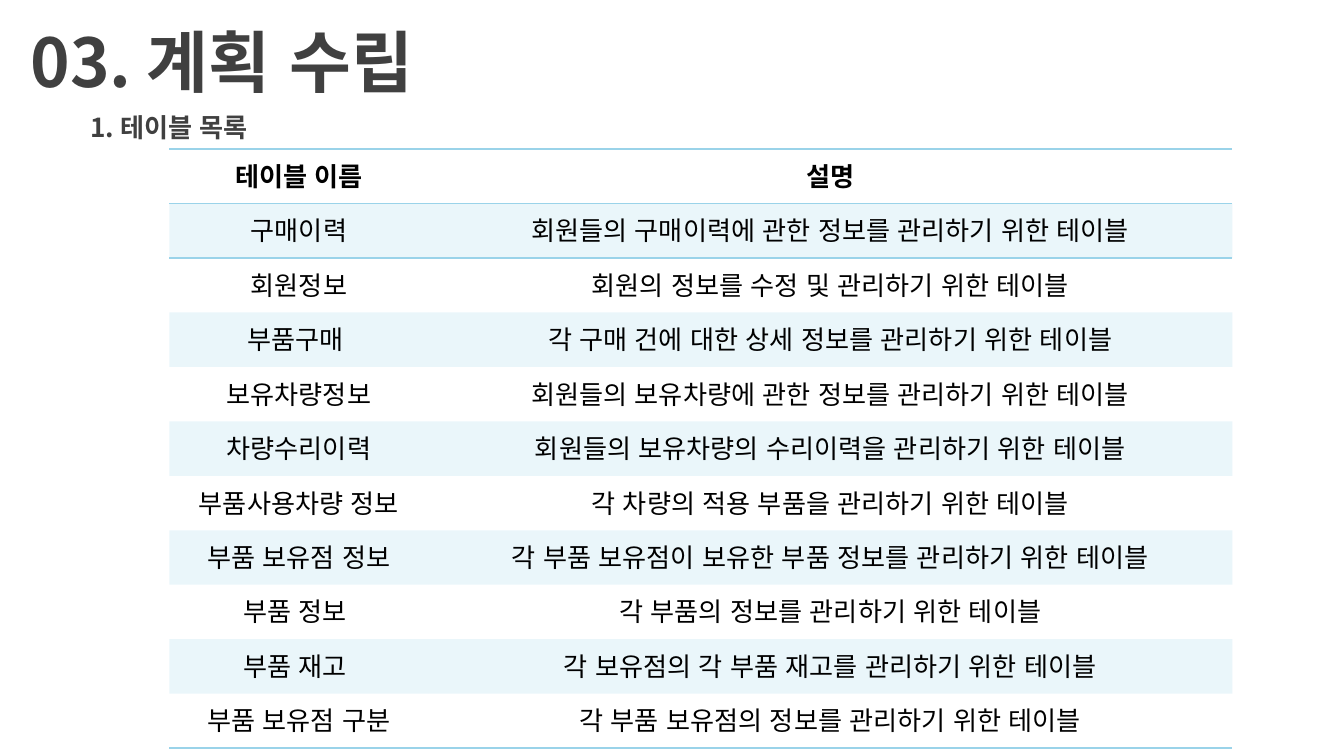
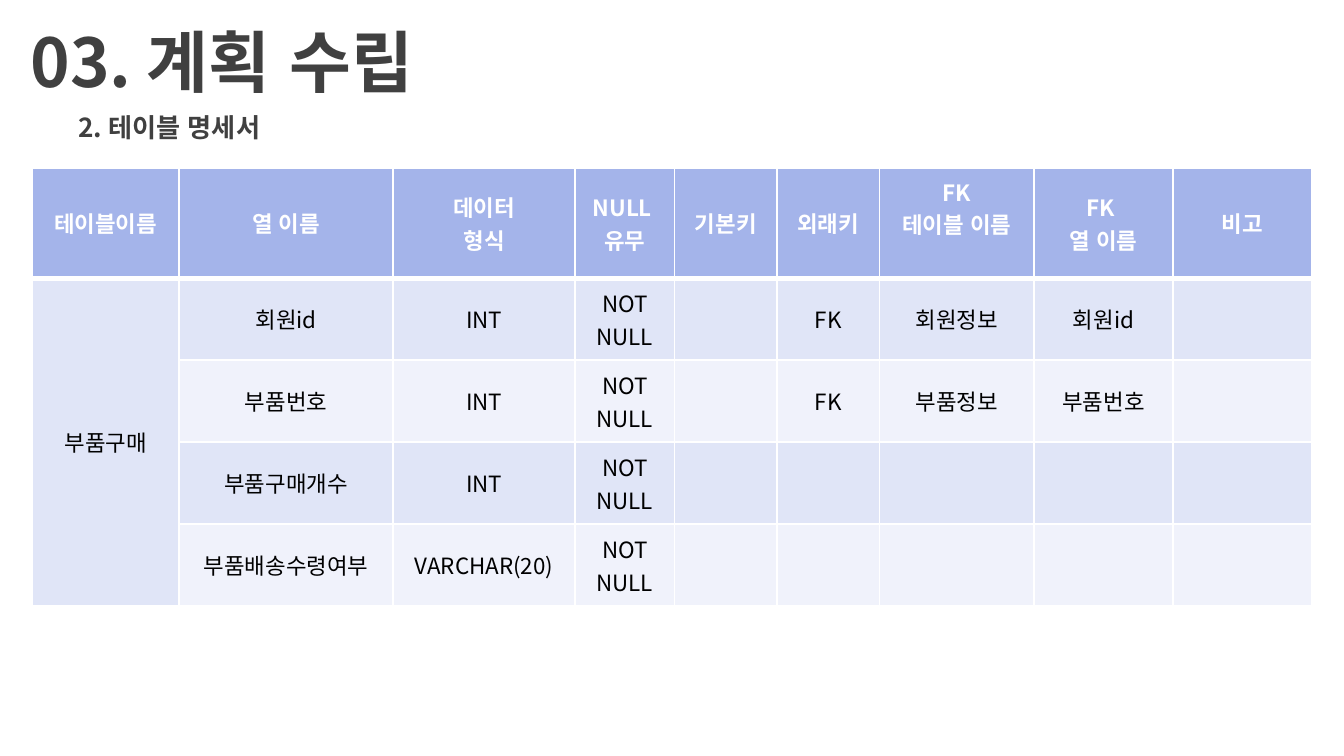
from dataclasses import dataclass

from lxml import etree
from pptx import Presentation
from pptx.dml.color import RGBColor
from pptx.enum import lang, text
from pptx.oxml import ns
from pptx.util import Inches, Pt


@dataclass(frozen=True)
class Theme:
    font: str = "Noto Sans CJK KR"
    heading: str = "404040"
    ink: str = "000000"
    white: str = "FFFFFF"
    sky: str = "9AD3E9"
    header: str = "A4B4EA"
    bands: tuple = ("E0E5F7", "F0F2FB")
    title_size: int = 36
    subtitle_size: int = 14
    list_size: int = 14
    spec_size: int = 12


THEME = Theme()
PLAIN_TABLE_STYLE = "{2D5ABB26-0587-4C30-8999-92F81FD0307C}"
MIDDLE = text.MSO_ANCHOR.MIDDLE

TABLE_LIST = [
    ("테이블 이름", "설명"),
    ("구매이력", "회원들의 구매이력에 관한 정보를 관리하기 위한 테이블"),
    ("회원정보", "회원의 정보를 수정 및 관리하기 위한 테이블"),
    ("부품구매 ", "각 구매 건에 대한 상세 정보를 관리하기 위한 테이블"),
    ("보유차량정보", "회원들의 보유차량에 관한 정보를 관리하기 위한 테이블"),
    ("차량수리이력", "회원들의 보유차량의 수리이력을 관리하기 위한 테이블"),
    ("부품사용차량 정보", "각 차량의 적용 부품을 관리하기 위한 테이블"),
    ("부품 보유점 정보", "각 부품 보유점이 보유한 부품 정보를 관리하기 위한 테이블"),
    ("부품 정보 ", "각 부품의 정보를 관리하기 위한 테이블"),
    ("부품 재고 ", "각 보유점의 각 부품 재고를 관리하기 위한 테이블"),
    ("부품 보유점 구분", "각 부품 보유점의 정보를 관리하기 위한 테이블"),
]

FOREIGN_TABLE = "FK\n테이블 이름"
SPEC_HEADER = ("테이블이름", "열 이름", "데이터\n형식", "NULL \n유무", "기본키",
               "외래키", FOREIGN_TABLE, "FK \n열 이름", "비고")
REQUIRED = "NOT\nNULL"
SPEC_ROWS = [
    ("부품구매", "회원id", "INT", REQUIRED, "", "FK", "회원정보", "회원id", ""),
    ("", "부품번호", "INT", REQUIRED, "", "FK", "부품정보", "부품번호", ""),
    ("", "부품구매개수", "INT", REQUIRED, "", "", "", "", ""),
    ("", "부품배송수령여부", "VARCHAR(20)", REQUIRED, "", "", "", "", ""),
]


def write(frame, content, *, size, color=THEME.ink, bold=False):
    """Put centred text into a frame, one paragraph per line."""
    for index, line in enumerate(content.split("\n")):
        para = frame.add_paragraph() if index else frame.paragraphs[0]
        para.alignment = text.PP_ALIGN.CENTER
        span = para.add_run()
        span.text = line
        span.font.name = THEME.font
        span.font.size = Pt(size)
        span.font.bold = bold
        span.font.language_id = lang.MSO_LANGUAGE_ID.KOREAN
        span.font.color.rgb = RGBColor.from_string(color)
        east_asian = etree.SubElement(span.font._element, ns.qn("a:ea"))
        east_asian.set("typeface", THEME.font)


def add_heading(page, content, left, top, height, size):
    box = page.shapes.add_textbox(Inches(left), Inches(top), Inches(10), Inches(height))
    frame = box.text_frame
    frame.word_wrap = True
    frame.vertical_anchor = MIDDLE
    write(frame, content, size=size, color=THEME.heading, bold=True)


def add_page(deck, subtitle):
    page = deck.slides.add_slide(deck.slide_layouts[6])
    add_heading(page, "03. 계획 수립", -3.35, 0.14, 0.63, THEME.title_size)
    add_heading(page, subtitle, -3.74, 0.79, 0.31, THEME.subtitle_size)
    return page


def add_plain_table(page, left, top, width, shares, heights):
    """Add an unstyled table whose columns divide the width by their shares."""
    shape = page.shapes.add_table(len(heights), len(shares), Inches(left), Inches(top),
                                  Inches(width), Inches(sum(heights)))
    table = shape.table
    table._tbl.tblPr.find(ns.qn("a:tableStyleId")).text = PLAIN_TABLE_STYLE
    table.first_row = table.horz_banding = False
    for column, share in zip(table.columns, shares):
        column.width = Inches(width * share / sum(shares))
    for row, height in zip(table.rows, heights):
        row.height = Inches(height)
    return table


def fill_cell(cell, color, opacity=100):
    cell.fill.solid()
    cell.fill.fore_color.rgb = RGBColor.from_string(color)
    if opacity < 100:
        tint = cell._tc.tcPr.find(".//" + ns.qn("a:srgbClr"))
        etree.SubElement(tint, ns.qn("a:alpha")).set("val", str(opacity * 1000))


def border_cell(cell, color, **widths):
    """Draw the sides L, R, T and B that are given, with widths in points."""
    properties = cell._tc.get_or_add_tcPr()
    sides = [side for side in "LRTB" if side in widths]
    for index, side in enumerate(sides):
        line = etree.Element(ns.qn("a:ln" + side), w=str(Pt(widths[side])))
        solid = etree.SubElement(line, ns.qn("a:solidFill"))
        etree.SubElement(solid, ns.qn("a:srgbClr")).set("val", color)
        properties.insert(index, line)


def build_table_list(deck):
    page = add_page(deck, "1. 테이블 목록")
    count = len(TABLE_LIST)
    borders = {0: {"T": 1, "B": 1}, 1: {"T": 1}, count - 1: {"B": 1}}
    table = add_plain_table(page, 1.26, 1.11, 7.91, (1.93, 5.98), [4.46 / count] * count)
    for r, row in enumerate(TABLE_LIST):
        for c, content in enumerate(row):
            cell = table.cell(r, c)
            write(cell.text_frame, content, size=THEME.list_size, bold=r == 0)
            if r % 2:
                fill_cell(cell, THEME.sky, opacity=20)
            else:
                cell.fill.background()
            border_cell(cell, THEME.sky, **borders.get(r, {}))


def build_table_spec(deck):
    page = add_page(deck, "2. 테이블 명세서")
    shares = (1.09, 1.59, 1.35, 0.74, 0.76, 0.76, 1.15, 1.03, 1.03)
    heights = [0.82] + [0.61] * len(SPEC_ROWS)
    table = add_plain_table(page, 0.24, 1.25, 9.52, shares, heights)
    table.cell(1, 0).merge(table.cell(len(SPEC_ROWS), 0))
    for c, content in enumerate(SPEC_HEADER):
        cell = table.cell(0, c)
        cell.vertical_anchor = MIDDLE
        write(cell.text_frame, content, size=THEME.spec_size, color=THEME.white, bold=True)
        fill_cell(cell, THEME.header)
        border_cell(cell, THEME.white, L=1, R=1, T=1, B=3)
    # The foreign table heading sits one half line higher than its neighbours.
    table.cell(0, SPEC_HEADER.index(FOREIGN_TABLE)).margin_bottom = Inches(0.28)
    for r, row in enumerate(SPEC_ROWS):
        for c, content in enumerate(row):
            cell = table.cell(r + 1, c)
            cell.vertical_anchor = MIDDLE
            if content:
                write(cell.text_frame, content, size=THEME.spec_size)
            fill_cell(cell, THEME.bands[r % 2 if c else 0])
            border_cell(cell, THEME.white, L=1, R=1, B=1)


def main():
    deck = Presentation()
    deck.slide_width = Inches(10)
    deck.slide_height = deck.slide_width * 9 // 16
    build_table_list(deck)
    build_table_spec(deck)
    deck.save("out.pptx")


if __name__ == "__main__":
    main()
